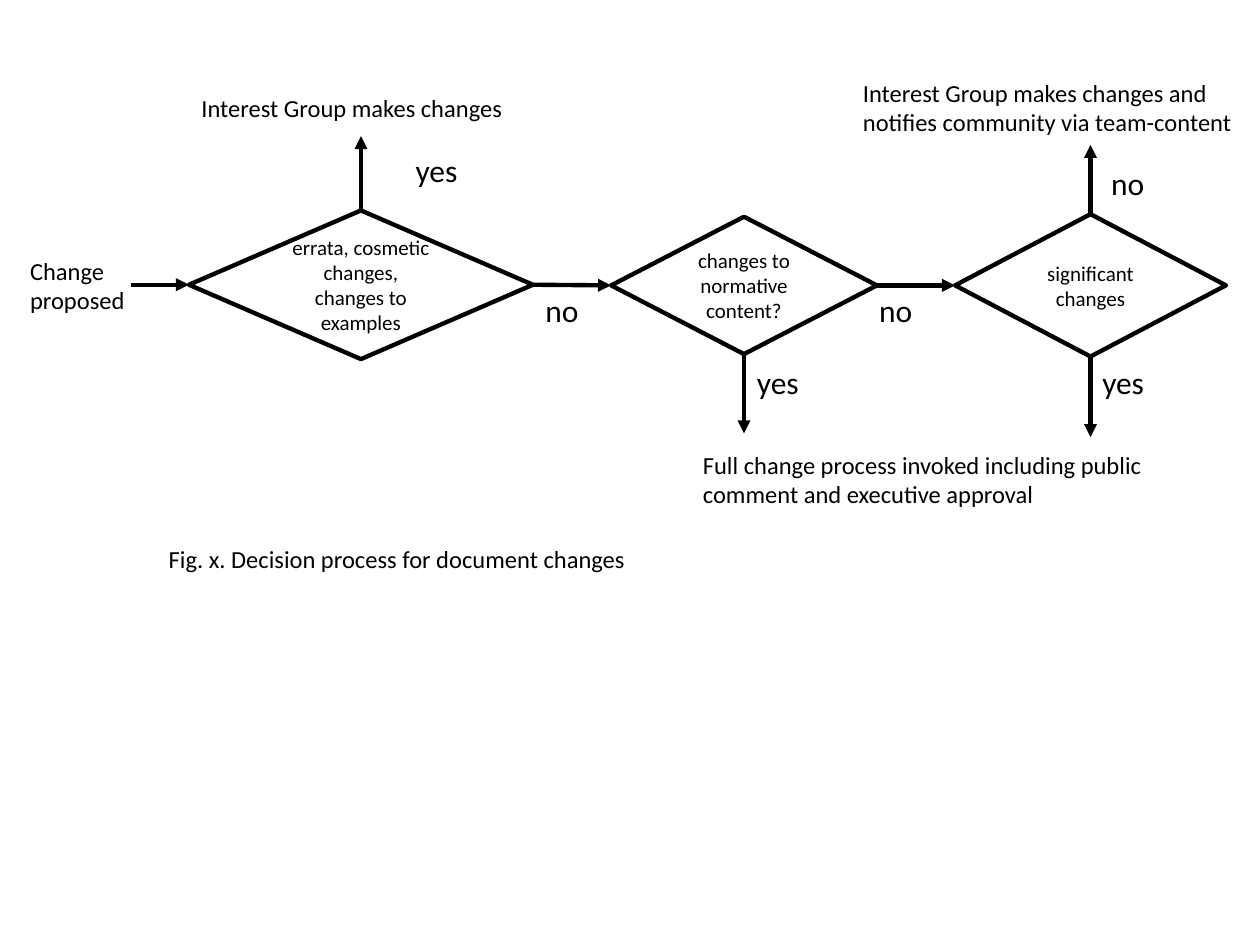
import pptx
import pptx.dml.color
import pptx.enum.shapes
import pptx.enum.text
import pptx.oxml
import pptx.util
from pptx.util import Inches

FONT = "Calibri"
BLACK = "000000"
TOP, LEFT, BOTTOM, RIGHT = range(4)  # connection sites of a diamond


def colour(hex_string):
    return pptx.dml.color.RGBColor.from_string(hex_string)


def format_text(frame, text, size):
    frame.text = text
    para = frame.paragraphs[0]
    para.font.name = FONT
    para.font.size = pptx.util.Pt(size)
    para.font.color.rgb = colour(BLACK)
    return para


def format_line(line):
    line.color.rgb = colour(BLACK)
    line.width = pptx.util.Pt(2.5)


def add_label(page, text, left, top, width, height, size=14, wrap=False):
    box = page.shapes.add_textbox(
        Inches(left), Inches(top), Inches(width), Inches(height))
    box.text_frame.word_wrap = wrap
    box.text_frame.auto_size = pptx.enum.text.MSO_AUTO_SIZE.SHAPE_TO_FIT_TEXT
    format_text(box.text_frame, text, size)


def add_decision(page, text, left, top, width, height):
    diamond = page.shapes.add_shape(
        pptx.enum.shapes.MSO_SHAPE.FLOWCHART_DECISION,
        Inches(left), Inches(top), Inches(width), Inches(height))
    diamond.shadow.inherit = False
    diamond.fill.background()
    format_line(diamond.line)
    frame = diamond.text_frame
    frame.word_wrap = True
    frame.vertical_anchor = pptx.enum.text.MSO_ANCHOR.MIDDLE
    para = format_text(frame, text, 12)
    para.alignment = pptx.enum.text.PP_ALIGN.CENTER
    return diamond


def add_arrow(page, x1, y1, x2, y2):
    arrow = page.shapes.add_connector(
        pptx.enum.shapes.MSO_CONNECTOR.STRAIGHT, x1, y1, x2, y2)
    format_line(arrow.line)
    head = pptx.oxml.parse_xml(
        '<a:tailEnd xmlns:a="http://schemas.openxmlformats.org/drawingml/2006/main"'
        ' type="triangle"/>')
    arrow.line._get_or_add_ln().append(head)
    arrow._element.spPr.append(pptx.oxml.parse_xml(
        '<a:effectLst xmlns:a="http://schemas.openxmlformats.org/drawingml/2006/main"/>'))
    return arrow


def add_exit(page, diamond, site, length):
    """Vertical arrow out of the top or bottom corner of a diamond."""
    x = diamond.left + diamond.width // 2
    if site == TOP:
        start, end = diamond.top, diamond.top - Inches(length)
    else:
        start = diamond.top + diamond.height
        end = start + Inches(length)
    add_arrow(page, x, start, x, end).begin_connect(diamond, site)


def add_link(page, first, second):
    """Horizontal arrow from one diamond to the next."""
    arrow = add_arrow(page, 0, 0, 0, 0)
    arrow.begin_connect(first, RIGHT)
    arrow.end_connect(second, LEFT)


def add_flowchart(page):
    # Decisions
    errata = add_decision(
        page, "errata, cosmetic changes, changes to examples", 1.5, 1.67, 2.73, 1.18)
    normative = add_decision(
        page, "changes to normative content?", 4.85, 1.72, 2.11, 1.09)
    significant = add_decision(
        page, "significant changes", 7.58, 1.7, 2.15, 1.13)

    # Main path
    entry = add_arrow(page, Inches(1.04), Inches(2.26), Inches(1.5), Inches(2.26))
    entry.end_connect(errata, LEFT)
    add_link(page, errata, normative)
    add_link(page, normative, significant)

    # Exits
    add_exit(page, errata, TOP, 0.59)
    add_exit(page, normative, BOTTOM, 0.63)
    add_exit(page, significant, TOP, 0.55)
    add_exit(page, significant, BOTTOM, 0.64)

    # Answers
    for left, top in ((3.2, 1.15), (5.91, 2.83), (8.65, 2.83)):
        add_label(page, "yes", left, top, 0.54, 0.4, size=18)
    for left, top in ((4.23, 2.26), (6.88, 2.26), (8.72, 1.25)):
        add_label(page, "no", left, top, 0.47, 0.4, size=18)

    # Start and outcomes
    add_label(page, "Change proposed", 0.14, 1.98, 0.97, 0.57, wrap=True)
    add_label(page, "Interest Group makes changes", 1.5, 0.69, 2.61, 0.34)
    add_label(page, "Interest Group makes changes and notifies community via team-content",
              6.75, 0.57, 3.25, 0.57, wrap=True)
    add_label(page, "Full change process invoked including public comment and executive approval",
              5.48, 3.52, 3.75, 0.57, wrap=True)


def main():
    deck = pptx.Presentation()
    deck.slide_width, deck.slide_height = Inches(10), Inches(7.5)
    page = deck.slides.add_slide(deck.slide_layouts[6])
    add_flowchart(page)
    # Caption
    add_label(page, "Fig. x. Decision process for document changes", 1.24, 4.27, 3.85, 0.34)
    deck.save("out.pptx")


if __name__ == "__main__":
    main()
